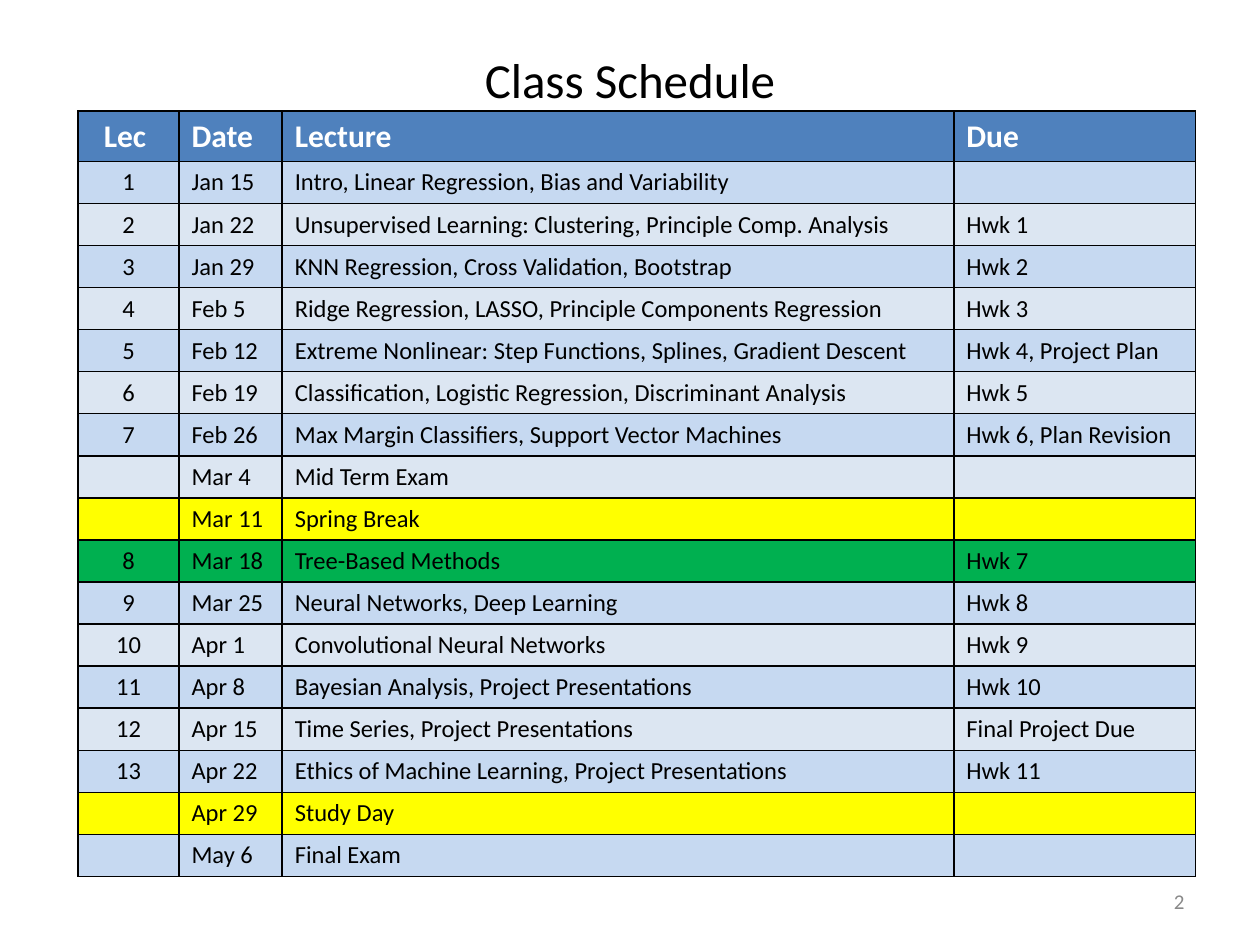
from lxml.etree import SubElement
from pptx import Presentation
from pptx.dml.color import RGBColor
from pptx.enum.text import MSO_ANCHOR, PP_ALIGN
from pptx.oxml import parse_xml
from pptx.oxml.ns import nsdecls, qn
from pptx.util import Inches, Pt


def color(value):
    return RGBColor.from_string(value)


def style_paragraph(paragraph, size, text_color, alignment, bold=False):
    paragraph.alignment = alignment
    paragraph.font.name = "Calibri"
    paragraph.font.size = Pt(size)
    paragraph.font.bold = bold
    paragraph.font.color.rgb = color(text_color)


presentation = Presentation()
presentation.slide_width = Inches(10)
presentation.slide_height = Inches(7.5)
slide = presentation.slides.add_slide(presentation.slide_layouts[6])

# Title and page number
labels = [
    ("Class Schedule", (0.5, 0, 9, 1.25), 28, "000000", PP_ALIGN.CENTER),
    ("2", (7.17, 6.95, 2.33, 0.4), 12, "898989", PP_ALIGN.RIGHT),
]
for text, box, size, text_color, alignment in labels:
    shape = slide.shapes.add_textbox(*[Inches(length) for length in box])
    shape.text_frame.word_wrap = True
    shape.text_frame.vertical_anchor = MSO_ANCHOR.MIDDLE
    shape.text_frame.text = text
    style_paragraph(shape.text_frame.paragraphs[0], size, text_color, alignment)

# Schedule content
schedule = [
    ("Lec ", "Date", "Lecture", "Due"),
    ("1", "Jan 15", "Intro, Linear Regression, Bias and Variability", ""),
    ("2", "Jan 22", "Unsupervised Learning: Clustering, Principle Comp. Analysis", "Hwk 1"),
    ("3", "Jan 29", "KNN Regression, Cross Validation, Bootstrap", "Hwk 2"),
    ("4", "Feb 5", "Ridge Regression, LASSO, Principle Components Regression", "Hwk 3"),
    ("5", "Feb 12", "Extreme Nonlinear: Step Functions, Splines, Gradient Descent",
     "Hwk 4, Project Plan"),
    ("6", "Feb 19", "Classification, Logistic Regression, Discriminant Analysis", "Hwk 5"),
    ("7", "Feb 26", "Max Margin Classifiers, Support Vector Machines",
     "Hwk 6, Plan Revision"),
    ("", "Mar 4", "Mid Term Exam", ""),
    ("", "Mar 11", "Spring Break", ""),
    ("8", "Mar 18", "Tree-Based Methods", "Hwk 7"),
    ("9", "Mar 25", "Neural Networks, Deep Learning", "Hwk 8"),
    ("10", "Apr 1", "Convolutional Neural Networks", "Hwk 9"),
    ("11", "Apr 8", "Bayesian Analysis, Project Presentations", "Hwk 10"),
    ("12", "Apr 15", "Time Series, Project Presentations", "Final Project Due"),
    ("13", "Apr 22", "Ethics of Machine Learning, Project Presentations", "Hwk 11"),
    ("", "Apr 29", "Study Day", ""),
    ("", "May 6", "Final Exam", ""),
]
highlights = {"Spring Break": "FFFF00", "Study Day": "FFFF00", "Tree-Based Methods": "00B050"}
band_fills = ["DCE6F2", "C6D9F1"]

# Table grid
table = slide.shapes.add_table(
    len(schedule), 4, Inches(0.62), Inches(0.88), Inches(8.87), Inches(6.01)
).table
for column, width in zip(table.columns, [0.8, 0.82, 5.33, 1.92]):
    column.width = Inches(width)

# Cells: blue header, alternating bands, highlighted weeks
for row_index, entries in enumerate(schedule):
    is_header = row_index == 0
    size = 18 if is_header else 14
    text_color = "FFFFFF" if is_header else "000000"
    band_fill = "4F81BD" if is_header else band_fills[row_index % 2]
    fill = highlights.get(entries[2], band_fill)
    table.rows[row_index].height = Inches(0.4 if is_header else 0.33)
    for column_index, text in enumerate(entries):
        cell = table.cell(row_index, column_index)
        cell.text = text
        paragraph = cell.text_frame.paragraphs[0]
        alignment = PP_ALIGN.CENTER if column_index == 0 else PP_ALIGN.LEFT
        style_paragraph(paragraph, size, text_color, alignment, is_header)
        if not text:
            # Keep empty cells from stretching the row
            SubElement(paragraph._p, qn("a:endParaRPr"), sz=str(size * 100))
        properties = cell._tc.get_or_add_tcPr()
        for side in ("lnL", "lnR", "lnT", "lnB"):
            properties.append(parse_xml(
                f'<a:{side} {nsdecls("a")} w="{Pt(1)}"><a:solidFill>'
                f'<a:srgbClr val="000000"/></a:solidFill></a:{side}>'
            ))
        cell.fill.solid()
        cell.fill.fore_color.rgb = color(fill)

presentation.save("out.pptx")
